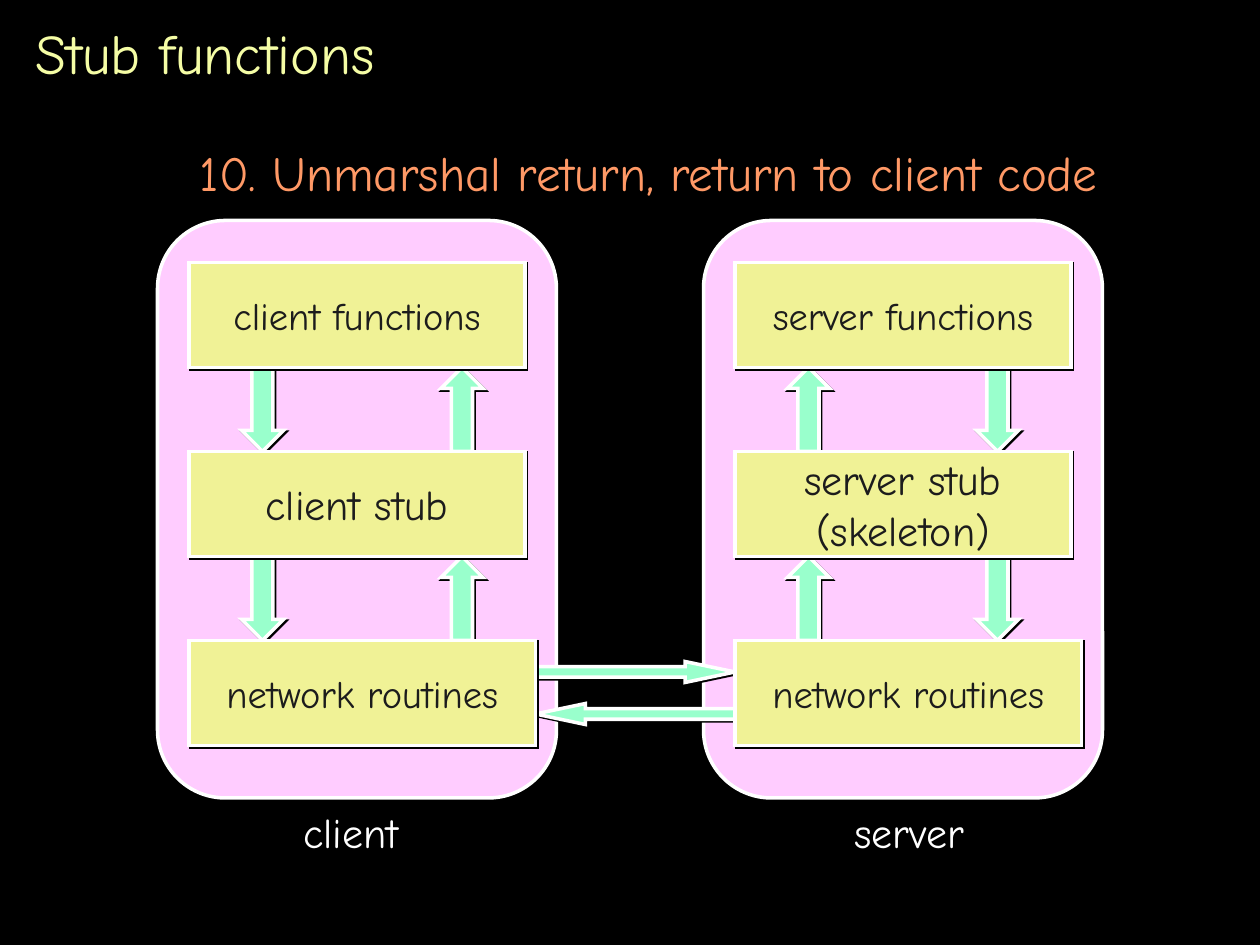
from dataclasses import dataclass

from lxml import etree
from pptx import Presentation
from pptx.dml.color import RGBColor
from pptx.enum.shapes import MSO_SHAPE
from pptx.enum.text import MSO_ANCHOR, PP_ALIGN
from pptx.oxml.ns import qn
from pptx.shapes.autoshape import Shape
from pptx.slide import Slide
from pptx.util import Pt

RECT = MSO_SHAPE.RECTANGLE
ROUND = MSO_SHAPE.ROUNDED_RECTANGLE
UP, DOWN = MSO_SHAPE.UP_ARROW, MSO_SHAPE.DOWN_ARROW
LEFT, RIGHT = MSO_SHAPE.LEFT_ARROW, MSO_SHAPE.RIGHT_ARROW
MIDDLE = MSO_ANCHOR.MIDDLE
START, CENTER = PP_ALIGN.LEFT, PP_ALIGN.CENTER

FONT = "Comic Neue"
HEX = {
    "back": "000000",
    "title": "F5FDA5",
    "step": "FF9966",
    "panel": "FFCCFF",
    "box": "F0F296",
    "arrow": "99FFCC",
    "edge": "FFFFFF",
    "ink": "1C1C1C",
    "shade": "000000",
}
TOP, PITCH, HIGH = 150, 108, 60


@dataclass
class Box:
    text: str
    size: int
    width: int = 192


@dataclass
class Host:
    name: str
    left: int
    mid: float
    span: int
    boxes: list[Box]
    down: int
    up: int


NET = Box("network routines", 22, 198)
HOSTS = [
    Host("server", 402, 519.5, 82,
         [Box("server functions", 22), Box("server stub\v(skeleton)", 24), NET],
         156, 48),
    Host("client", 90, 200.5, 72,
         [Box("client functions", 22), Box("client stub", 24), NET],
         48, 162),
]


def color(key: str) -> RGBColor:
    return RGBColor.from_string(HEX[key])


def write(shape: Shape, text: str, size: int, key: str, align: PP_ALIGN) -> None:
    frame = shape.text_frame
    frame.text = text
    para = frame.paragraphs[0]
    para.alignment = align
    para.font.name = FONT
    para.font.size = Pt(size)
    para.font.color.rgb = color(key)


def shade(shape: Shape) -> None:
    props = shape._element.spPr
    etree.SubElement(props.find(qn("a:ln")), qn("a:miter"), lim="800000")
    drop = etree.SubElement(props.find(qn("a:effectLst")), qn("a:outerShdw"),
                            dist=str(Pt(1.4)), dir="2700000", algn="ctr",
                            rotWithShape="0")
    etree.SubElement(drop, qn("a:srgbClr"), val=HEX["shade"])


def draw(slide: Slide, kind: MSO_SHAPE, x: float, y: float, w: float, h: float,
         key: str) -> Shape:
    shape = slide.shapes.add_shape(kind, Pt(x), Pt(y), Pt(w), Pt(h))
    shape.fill.solid()
    shape.fill.fore_color.rgb = color(key)
    shape.line.color.rgb = color("edge")
    shape.line.width = Pt(2)
    shape.shadow.inherit = False
    if kind != ROUND:
        shade(shape)
    return shape


def label(slide: Slide, text: str, x: float, y: float, w: float, h: float,
          size: int, key: str, align: PP_ALIGN) -> None:
    area = slide.shapes.add_textbox(Pt(x), Pt(y), Pt(w), Pt(h))
    area.text_frame.word_wrap = False
    write(area, text, size, key, align)


def panel(slide: Slide, host: Host) -> None:
    shape = draw(slide, ROUND, host.left, 126, 228, 330, "panel")
    shape.adjustments[0] = 0.17
    label(slide, host.name, host.mid - host.span / 2, 457.5, host.span, 36,
          24, "edge", CENTER)


def flows(slide: Slide, host: Host) -> None:
    for row in range(len(host.boxes) - 1):
        y = TOP + HIGH + row * PITCH
        for kind, shift in ((DOWN, host.down), (UP, host.up)):
            draw(slide, kind, host.left + shift, y, 24, PITCH - HIGH, "arrow")


def stack(slide: Slide, host: Host) -> None:
    for row, box in enumerate(host.boxes):
        shape = draw(slide, RECT, host.left + 18, TOP + row * PITCH,
                     box.width, HIGH, "box")
        shape.text_frame.word_wrap = False
        shape.text_frame.vertical_anchor = MIDDLE
        write(shape, box.text, box.size, "ink", CENTER)


def main() -> None:
    deck = Presentation()
    deck.slide_width, deck.slide_height = Pt(720), Pt(540)
    slide = deck.slides.add_slide(deck.slide_layouts[5])
    slide.background.fill.solid()
    slide.background.fill.fore_color.rgb = color("back")

    for host in HOSTS:
        panel(slide, host)

    title = slide.shapes.title
    title.left, title.top, title.width, title.height = Pt(13), Pt(6), Pt(696), Pt(48)
    title.text_frame.vertical_anchor = MIDDLE
    write(title, "Stub functions", 32, "title", START)
    label(slide, "10. Unmarshal return, return to client code",
          107, 78, 530, 41, 28, "step", START)

    for host in HOSTS:
        flows(slide, host)
    for kind, y in ((RIGHT, 378), (LEFT, 402)):
        arrow = draw(slide, kind, 306, y, 114, 12, "arrow")
        arrow.adjustments[1] = 2.38
    for host in HOSTS:
        stack(slide, host)

    deck.save("out.pptx")


if __name__ == "__main__":
    main()
